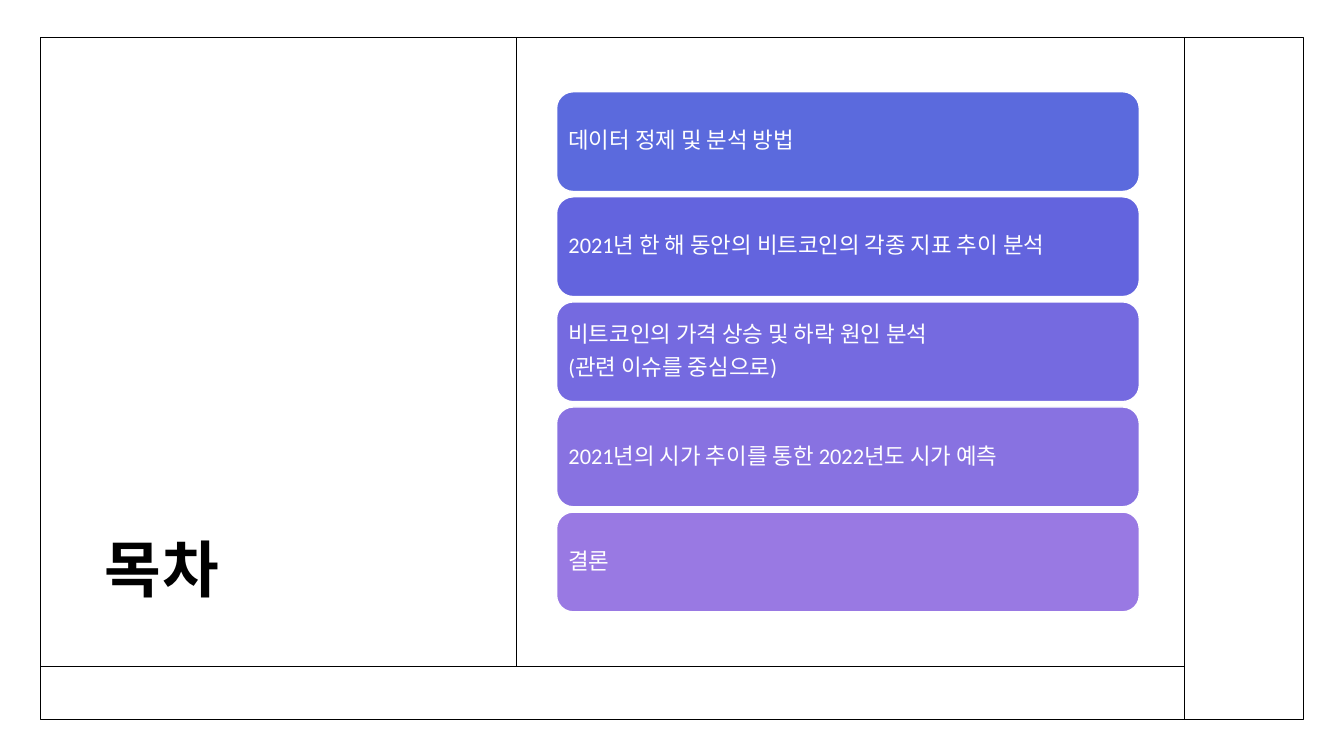
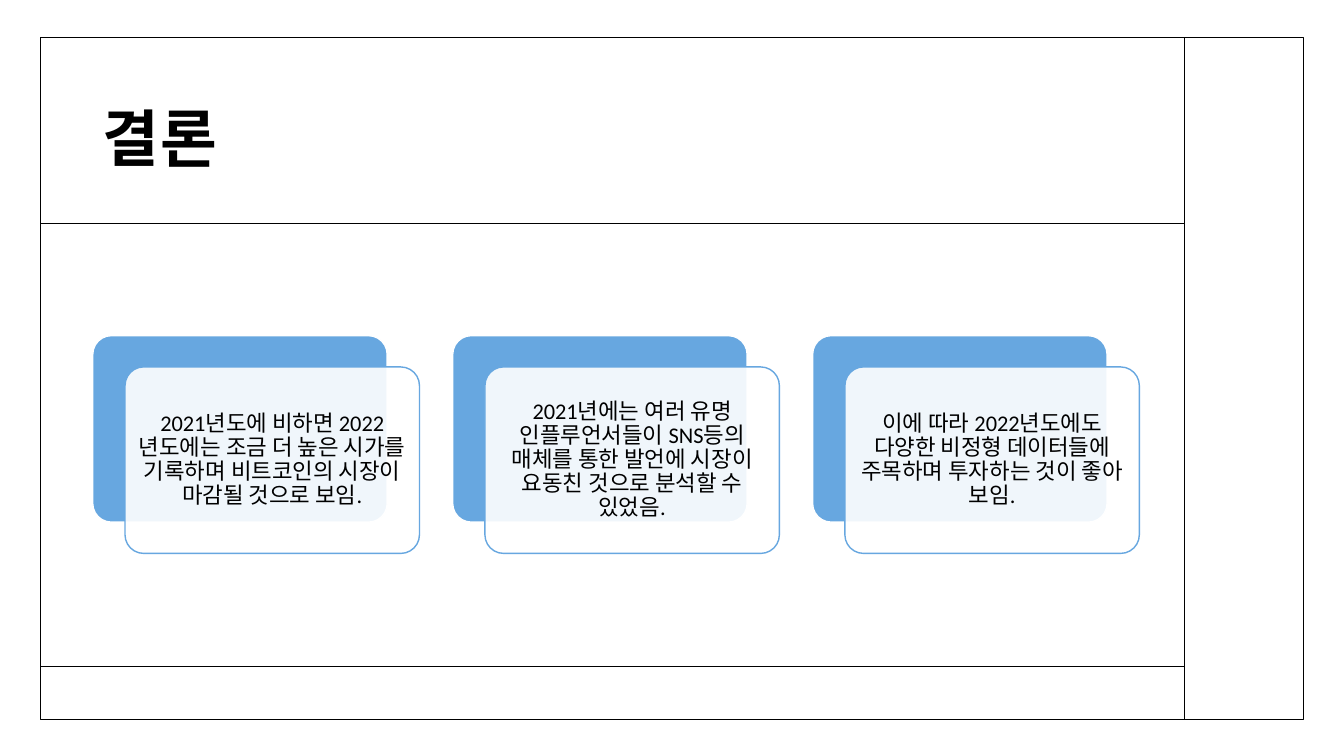
from lxml import etree
from pptx import Presentation
from pptx.dml.color import RGBColor
from pptx.enum import shapes, text
from pptx.oxml.ns import qn
from pptx.util import Inches, Pt

COLORS = {"ink": "000000", "paper": "FFFFFF", "card": "67A7E0"}
FONT = "Calibri"

AGENDA_TITLE = "목차"
AGENDA = [
    ("5B6ADD", ["데이터 정제 및 분석 방법"]),
    ("6364DE", ["2021년 한 해 동안의 비트코인의 각종 지표 추이 분석"]),
    ("756AE0", ["비트코인의 가격 상승 및 하락 원인 분석", "(관련 이슈를 중심으로)"]),
    ("8872E1", ["2021년의 시가 추이를 통한 2022년도 시가 예측"]),
    ("9979E3", ["결론"]),
]
CONCLUSION_TITLE = "결론"
CONCLUSIONS = [
    "2021년도에 비하면 2022년도에는 조금 더 높은 시가를 기록하며 비트코인의 시장이 마감될 것으로 보임.",
    "2021년에는 여러 유명 인플루언서들이 SNS등의 매체를 통한 발언에 시장이 요동친 것으로 분석할 수 있었음.",
    "이에 따라 2022년도에도 다양한 비정형 데이터들에 주목하며 투자하는 것이 좋아 보임.",
]

LEFT, TOP, RIGHT, BOTTOM = 0.4, 0.37, 12.93, 7.14
FOOTER_TOP, SIDEBAR_LEFT = 6.61, 11.75


def rgb(color):
    return RGBColor.from_string(COLORS.get(color, color))


def add_box(slide, kind, box, fill, line):
    shape = slide.shapes.add_shape(kind, *map(Inches, box))
    shape.shadow.inherit = False
    if fill:
        shape.fill.solid()
        shape.fill.fore_color.rgb = rgb(fill)
    else:
        shape.fill.background()
    shape.line.color.rgb = rgb(line)
    shape.line.width = Pt(1)
    return shape


def add_rule(slide, x1, y1, x2, y2):
    rule = slide.shapes.add_connector(
        shapes.MSO_CONNECTOR.STRAIGHT, *map(Inches, (x1, y1, x2, y2)))
    rule.line.color.rgb = rgb("ink")
    rule.line.width = Pt(1)
    etree.SubElement(rule._element.spPr, qn("a:effectLst"))


def write(shape, lines, size, color, inset, anchor=text.MSO_ANCHOR.MIDDLE,
          align=text.PP_ALIGN.LEFT, spacing=0.9, after=0):
    """Fill a shape with one paragraph per line and return the last run."""
    frame = shape.text_frame
    frame.word_wrap = True
    frame.vertical_anchor = anchor
    frame.margin_left = frame.margin_right = Inches(inset)
    frame.margin_top = frame.margin_bottom = Inches(inset)
    for index, line in enumerate(lines):
        paragraph = frame.add_paragraph() if index else frame.paragraphs[0]
        paragraph.alignment = align
        paragraph.line_spacing = spacing
        paragraph.space_after = Pt(after)
        run = paragraph.add_run()
        run.text = line
        run.font.name = FONT
        run.font.size = Pt(size)
        run.font.color.rgb = rgb(color)
    return run


def add_title(slide, title, box, **style):
    shape = slide.shapes.add_textbox(*map(Inches, box))
    run = write(shape, [title], 44, "ink", 0.1, **style)
    run.font.bold = True
    run.font._element.set("spc", "50")


def add_framed_slide(presentation):
    """Add a blank slide with the outer frame, footer rule and sidebar rule."""
    slide = presentation.slides.add_slide(presentation.slide_layouts[6])
    add_box(slide, shapes.MSO_SHAPE.RECTANGLE,
            (LEFT, TOP, RIGHT - LEFT, BOTTOM - TOP), None, "ink")
    add_rule(slide, LEFT, FOOTER_TOP, SIDEBAR_LEFT, FOOTER_TOP)
    add_rule(slide, SIDEBAR_LEFT, TOP, SIDEBAR_LEFT, BOTTOM)
    return slide


def build_agenda(presentation):
    slide = add_framed_slide(presentation)
    add_rule(slide, 5.12, TOP, 5.12, FOOTER_TOP)
    add_title(slide, AGENDA_TITLE, (0.94, 0.89, 3.73, 5.21),
              anchor=text.MSO_ANCHOR.BOTTOM, spacing=1.1)
    top, height, pitch = 0.91, 0.99, 1.0425
    for index, (fill, lines) in enumerate(AGENDA):
        bar = add_box(slide, shapes.MSO_SHAPE.ROUNDED_RECTANGLE,
                      (5.52, top + index * pitch, 5.78, height), fill, "paper")
        write(bar, lines, 16, "paper", 0.07, after=5.6)


def build_conclusion(presentation):
    slide = add_framed_slide(presentation)
    add_rule(slide, LEFT, 2.22, SIDEBAR_LEFT, 2.22)
    add_title(slide, CONCLUSION_TITLE, (0.92, 0.89, 10.38, 1.02))
    left, top, width, height, pitch = 0.92, 3.33, 2.92, 1.85, 3.57
    for index, conclusion in enumerate(CONCLUSIONS):
        x = left + index * pitch
        back = add_box(slide, shapes.MSO_SHAPE.ROUNDED_RECTANGLE,
                       (x, top, width, height), "card", "paper")
        front = add_box(slide, shapes.MSO_SHAPE.ROUNDED_RECTANGLE,
                        (x + 0.32, top + 0.31, width, height), "paper", "card")
        for card in (back, front):
            card.adjustments[0] = 0.1
        fill_color = front._element.spPr.find(f"{qn('a:solidFill')}/{qn('a:srgbClr')}")
        etree.SubElement(fill_color, qn("a:alpha"), val="90000")
        write(front, [conclusion], 16, "ink", 0.07,
              align=text.PP_ALIGN.CENTER, after=5.6)


def main():
    presentation = Presentation()
    presentation.slide_width = Inches(13.33)
    presentation.slide_height = Inches(7.5)
    build_agenda(presentation)
    build_conclusion(presentation)
    presentation.save("out.pptx")


if __name__ == "__main__":
    main()
